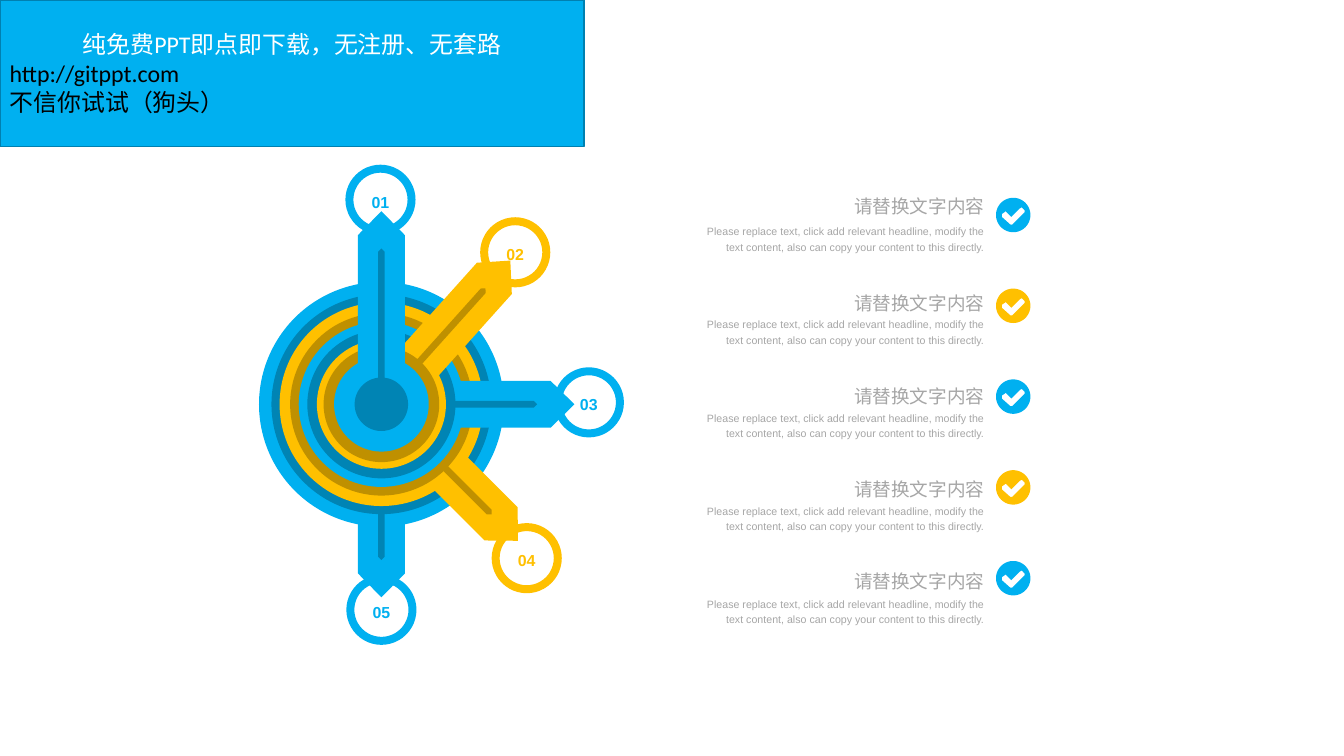
from dataclasses import dataclass
from math import cos, pi, radians, sin

from pptx import Presentation
from pptx.dml.color import RGBColor
from pptx.enum.shapes import MSO_SHAPE
from pptx.enum.text import MSO_ANCHOR, MSO_AUTO_SIZE, PP_ALIGN
from pptx.util import Inches, Pt


@dataclass(frozen=True)
class Theme:
    blue: str = "00B0F0"
    blue_dark: str = "0084B4"
    gold: str = "FFC000"
    gold_dark: str = "BF9000"
    banner_line: str = "0080B0"
    grey: str = "A6A6A6"
    white: str = "FFFFFF"
    black: str = "000000"
    font: str = "Arial"
    banner_font: str = "Calibri"
    banner_size: int = 18
    heading_size: int = 14
    badge_size: int = 12
    body_size: int = 8

    def pair(self, i):
        """Light and dark tone, alternating blue and gold."""
        return ((self.blue, self.blue_dark), (self.gold, self.gold_dark))[i % 2]


T = Theme()

# The grid has square cells of one inch
COLS, ROWS = 14.06, 7.91
CENTER = (3.99, 4.23)
BANNER = ["纯免费PPT即点即下载，无注册、无套路", "http://gitppt.com", "不信你试试（狗头）"]
HEADING = "请替换文字内容"
BODY = ("Please replace text, click add relevant headline, modify the text "
        "content, also can copy your content to this directly.")

# Number, arm angle, ring diameters (light, dark), badge centre
TARGETS = [
    ("05", 90, (2.56, 2.30), (3.99, 6.38)),
    ("04", 45, (2.13, 1.91), (5.51, 5.84)),
    ("03", 0, (1.73, 1.55), (6.16, 4.21)),
    ("02", 311.9, (1.35, 1.21), (5.39, 2.64)),
    ("01", 270, (0.99, 0.56), (3.98, 2.09)),
]

# Check mark outline, measured from the middle of its disc
CHECK = [(0.12, -0.05), (0.10, -0.07), (0.09, -0.08), (0.07, -0.07),
         (-0.02, 0.02), (-0.07, -0.03), (-0.08, -0.04), (-0.09, -0.03),
         (-0.12, -0.01), (-0.12, 0.02), (-0.03, 0.10), (-0.01, 0.10),
         (0.12, -0.03)]


def rgb(color):
    return RGBColor.from_string(color)


def cells(*values):
    return [Inches(v) for v in values]


def paint(sp, fill, line=None, width=0):
    sp.shadow.inherit = False
    sp.fill.solid()
    sp.fill.fore_color.rgb = rgb(fill)
    if line:
        sp.line.color.rgb = rgb(line)
        sp.line.width = Pt(width)
    else:
        sp.line.fill.background()


def style(p, size, color, font=T.font, bold=False, **paragraph):
    for key, value in {"name": font, "size": Pt(size), "bold": bold}.items():
        setattr(p.font, key, value)
    p.font.color.rgb = rgb(color)
    for key, value in paragraph.items():
        setattr(p, key, value)


def disc(shapes, center, diameter, fill, line=None, width=0):
    left, top = (c - diameter / 2 for c in center)
    sp = shapes.add_shape(MSO_SHAPE.OVAL, *cells(left, top, diameter, diameter))
    paint(sp, fill, line, width)
    return sp


def outline(shapes, contours, fill):
    first, *others = [[cells(*pt) for pt in contour] for contour in contours]
    builder = shapes.build_freeform(*first[0], scale=1.0)
    builder.add_line_segments(first[1:], close=True)
    for contour in others:
        builder.move_to(*contour[0])
        builder.add_line_segments(contour[1:], close=True)
    paint(builder.convert_to_shape(), fill)


def arm(shapes, angle, start, tip, half, point, fill):
    """Pointed bar that runs outwards from the centre of the rings."""
    c, n = cos(radians(angle)), sin(radians(angle))
    bar = [(start, -half), (tip - point, -half), (tip, 0),
           (tip - point, half), (start, half)]
    outline(shapes, [[(CENTER[0] + u * c - v * n, CENTER[1] + u * n + v * c)
                      for u, v in bar]], fill)


def badge(s, number, center, color):
    sp = disc(s.shapes, center, 0.65, T.white, color, 6)
    tf = sp.text_frame
    tf.vertical_anchor = MSO_ANCHOR.MIDDLE
    p = tf.paragraphs[0]
    p.text = number
    style(p, T.badge_size, color, bold=True,
          alignment=PP_ALIGN.CENTER, line_spacing=1.2)


def ring(s, angle, diameters, light, dark):
    shapes = s.shapes.add_group_shape().shapes
    arm(shapes, angle, 0.22, 2.02, 0.245, 0.25, light)
    for diameter, color in zip(diameters, (light, dark)):
        disc(shapes, CENTER, diameter, color)
    arm(shapes, angle, 0.06, 1.63, 0.035, 0.035, dark)


def check(s, center, color):
    x, y = center
    steps = 72
    circle = [(x + 0.18 * cos(2 * pi * k / steps), y + 0.18 * sin(2 * pi * k / steps))
              for k in range(steps)]
    outline(s.shapes, [circle, [(x + dx, y + dy) for dx, dy in CHECK]], color)


def label(s, text, box, size, wrap, anchor, spacing):
    tf = s.shapes.add_textbox(*cells(*box)).text_frame
    frame = {"word_wrap": wrap, "vertical_anchor": anchor, "margin_left": 0,
             "margin_right": 0, "margin_top": 0, "margin_bottom": 0}
    for key, value in frame.items():
        setattr(tf, key, value)
    p = tf.paragraphs[0]
    p.text = text
    style(p, size, T.grey, alignment=PP_ALIGN.RIGHT, line_spacing=spacing)


def banner(s):
    sp = s.shapes.title
    place = zip(("left", "top", "width", "height"), cells(0, 0, 6.11, 1.53))
    for key, value in place:
        setattr(sp, key, value)
    paint(sp, T.blue, T.banner_line, 1)
    tf = sp.text_frame
    tf.text = "\n".join(BANNER)
    tf.auto_size = MSO_AUTO_SIZE.NONE
    tf.vertical_anchor = MSO_ANCHOR.MIDDLE
    for i, p in enumerate(tf.paragraphs):
        style(p, T.banner_size, T.black if i else T.white, T.banner_font,
              alignment=PP_ALIGN.LEFT if i else PP_ALIGN.CENTER)


def main():
    prs = Presentation()
    prs.slide_width, prs.slide_height = cells(COLS, ROWS)
    s = prs.slides.add_slide(prs.slide_layouts[5])
    banner(s)

    # Numbered badges lie behind the rings and their arms
    for i, (number, _, _, center) in enumerate(TARGETS):
        badge(s, number, center, T.pair(i)[0])
    for i, (_, angle, diameters, _) in enumerate(TARGETS):
        ring(s, angle, diameters, *T.pair(i))

    # Five text rows, each with a check mark
    for i in range(len(TARGETS)):
        check(s, (10.6, 2.25 + 0.95 * i), T.pair(i)[0])
        label(s, BODY, (7.28, 2.33 + 0.975 * i, 3.02, 0.32), T.body_size,
              True, MSO_ANCHOR.TOP, 1.2)
        label(s, HEADING, (8.93, 2.04 + 0.97 * i, 1.37, 0.28 if i else 0.23),
              T.heading_size, False, MSO_ANCHOR.MIDDLE, 1.2 if i else 1.0)

    prs.save("out.pptx")


if __name__ == "__main__":
    main()
